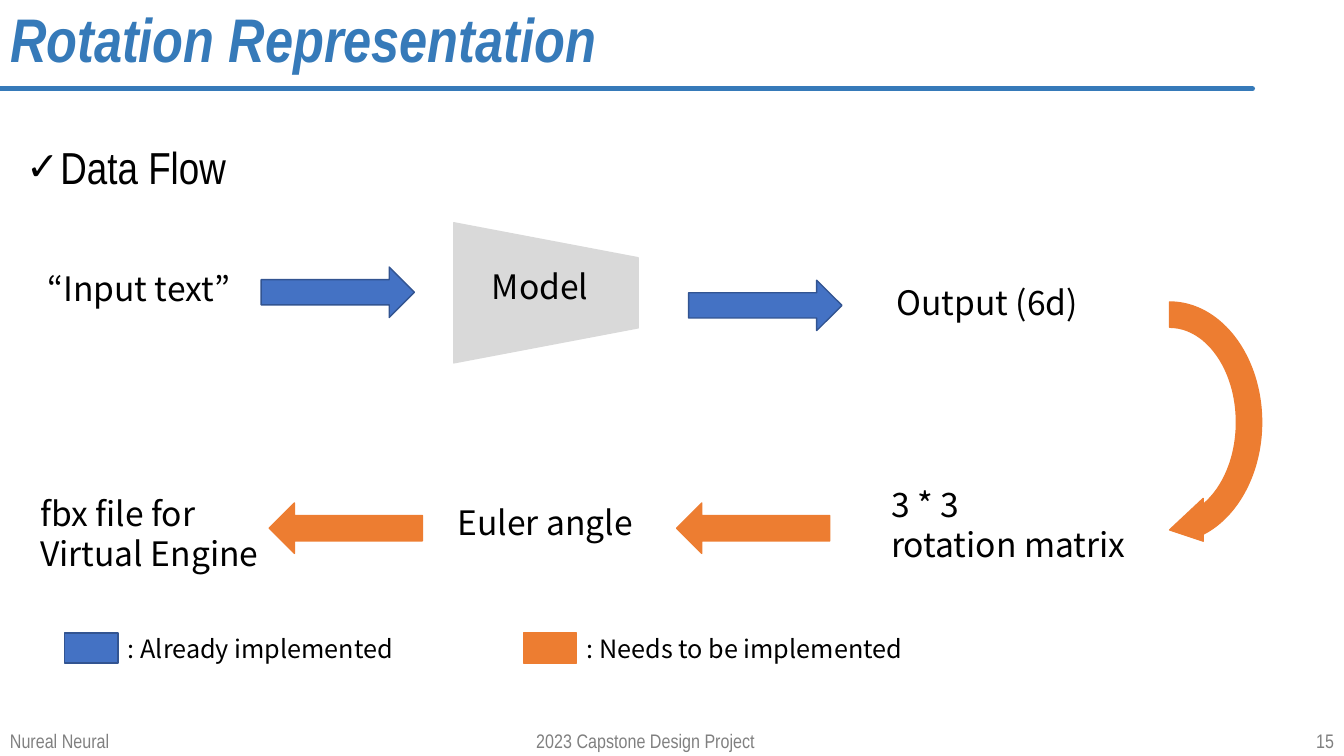
from dataclasses import dataclass

from lxml.etree import SubElement
from pptx import Presentation
from pptx.dml.color import RGBColor
from pptx.enum.shapes import MSO_CONNECTOR, MSO_SHAPE
from pptx.enum.text import MSO_ANCHOR, MSO_AUTO_SIZE, PP_ALIGN
from pptx.oxml.ns import qn
from pptx.util import Inches, Pt


@dataclass(frozen=True)
class Theme:
    heading_font: str = "Arial Narrow"
    label_font: str = "Noto Sans CJK KR"
    accent: str = "367AB9"
    black: str = "000000"
    grey: str = "808080"
    model: tuple = ("D9D9D9", "D9D9D9")
    done: tuple = ("4472C4", "325491")
    planned: tuple = ("ED7D31", "ED7D31")
    title_size: int = 44
    topic_size: int = 32
    label_size: int = 24
    legend_size: int = 18
    footer_size: int = 14


class SlideBuilder:
    def __init__(self, slide, theme):
        self.slide = slide
        self.theme = theme

    def add_span(self, para, text, size, font, color):
        span = para.add_run()
        span.text = text
        span.font.size = Pt(size)
        span.font.name = font
        span.font.color.rgb = RGBColor.from_string(color)
        return span

    def place(self, holder, left, top, width, height, anchor):
        holder.left, holder.top = Inches(left), Inches(top)
        holder.width, holder.height = Inches(width), Inches(height)
        frame = holder.text_frame
        frame.auto_size = MSO_AUTO_SIZE.NONE
        frame.vertical_anchor = anchor
        para = frame.paragraphs[0]
        para.alignment = PP_ALIGN.LEFT
        para.space_before = Pt(0)
        return para

    def title(self, text):
        para = self.place(self.slide.shapes.title, 0, -0.01, 13.33, 0.87, MSO_ANCHOR.MIDDLE)
        para.line_spacing = 0.9
        span = self.add_span(para, text, self.theme.title_size,
                             self.theme.heading_font, self.theme.accent)
        span.font.bold = span.font.italic = True

    def topic(self, text):
        para = self.place(self.slide.placeholders[1], -0.29, 1.07, 11.39, 0.97, MSO_ANCHOR.TOP)
        para.line_spacing = 1.5
        properties = para._p.get_or_add_pPr()
        properties.set("marL", str(Inches(0.79)))
        properties.set("indent", str(Inches(-0.34)))
        SubElement(properties, qn("a:buSzPct")).set("val", "88000")
        SubElement(properties, qn("a:buChar")).set("char", "✓")
        self.add_span(para, text, self.theme.topic_size,
                      self.theme.heading_font, self.theme.black)

    def text(self, lines, left, top, width, height, size, font, color, align=PP_ALIGN.LEFT):
        box = self.slide.shapes.add_textbox(
            Inches(left), Inches(top), Inches(width), Inches(height))
        frame = box.text_frame
        frame.word_wrap = True
        frame.auto_size = MSO_AUTO_SIZE.SHAPE_TO_FIT_TEXT
        para = frame.paragraphs[0]
        para.alignment = align
        for index, line in enumerate(lines):
            if index:
                para.add_line_break()
            self.add_span(para, line, size, font, color)
        return box

    def label(self, left, top, *lines, height=0.5):
        return self.text(lines, left, top, 2.59, height, self.theme.label_size,
                         self.theme.label_font, self.theme.black)

    def footer(self, text, left, width, align=PP_ALIGN.LEFT):
        self.text([text], left, 7.18, width, 0.35, self.theme.footer_size,
                  self.theme.heading_font, self.theme.grey, align)

    def shape(self, kind, left, top, width, height, colors, rotation=0):
        shape = self.slide.shapes.add_shape(
            kind, Inches(left), Inches(top), Inches(width), Inches(height))
        fill, line = colors
        shape.shadow.inherit = False
        shape.fill.solid()
        shape.fill.fore_color.rgb = RGBColor.from_string(fill)
        shape.line.color.rgb = RGBColor.from_string(line)
        shape.line.width = Pt(1)
        shape.rotation = rotation
        return shape

    def arrow(self, left, top, colors, rotation=0):
        self.shape(MSO_SHAPE.RIGHT_ARROW, left, top, 1.52, 0.5, colors, rotation)

    def turn_arrow(self):
        turn = self.shape(MSO_SHAPE.CIRCULAR_ARROW, 10.32, 3.19, 2.56, 2,
                          self.theme.planned, 90)
        for index, value in enumerate((0.125, 11.42, 204.58, 108, 0.106)):
            turn.adjustments[index] = value

    def model(self):
        body = self.shape(MSO_SHAPE.TRAPEZOID, 4.72, 1.99, 1.39, 1.83, self.theme.model, 90)
        name = self.label(4.78, 2.59, "Model")
        self.slide.shapes.add_group_shape([body, name])

    def legend(self, left, colors, text):
        self.shape(MSO_SHAPE.RECTANGLE, left, 6.28, 0.53, 0.3, colors)
        self.text([text], left + 0.53, 6.23, 3.82, 0.4, self.theme.legend_size,
                  self.theme.label_font, self.theme.black)

    def rule(self):
        rule = self.slide.shapes.add_connector(
            MSO_CONNECTOR.STRAIGHT, 0, Inches(0.88), Inches(12.42), Inches(0.88))
        rule.line.color.rgb = RGBColor.from_string(self.theme.accent)
        rule.line.width = Pt(4)
        rule.line._get_or_add_ln().set("cap", "rnd")
        SubElement(rule._element.spPr, qn("a:effectLst"))


def main():
    deck = Presentation()
    deck.slide_width, deck.slide_height = Inches(13.33), Inches(7.5)
    theme = Theme()
    page = SlideBuilder(deck.slides.add_slide(deck.slide_layouts[1]), theme)

    page.title("Rotation Representation")
    page.rule()
    page.topic("Data Flow")

    page.label(0.37, 2.61, "“Input text”")
    page.arrow(2.59, 2.65, theme.done)
    page.model()
    page.arrow(6.83, 2.78, theme.done)
    page.label(8.79, 2.75, "Output (6d)")
    page.turn_arrow()
    page.label(8.74, 4.75, "3 * 3", "rotation matrix", height=0.91)
    page.arrow(6.71, 4.99, theme.planned, 180)
    page.label(4.44, 4.93, "Euler angle")
    page.arrow(2.67, 4.99, theme.planned, 180)
    page.label(0.3, 4.84, "fbx file for Virtual Engine", height=0.91)

    page.legend(0.64, theme.done, ": Already implemented")
    page.legend(5.19, theme.planned, ": Needs to be implemented")

    page.footer("Nureal Neural", 0, 2.89)
    page.footer("2023 Capstone Design Project", 5.22, 2.89)
    page.footer("15", 10.75, 2.58, PP_ALIGN.RIGHT)
    deck.save("out.pptx")


if __name__ == "__main__":
    main()
